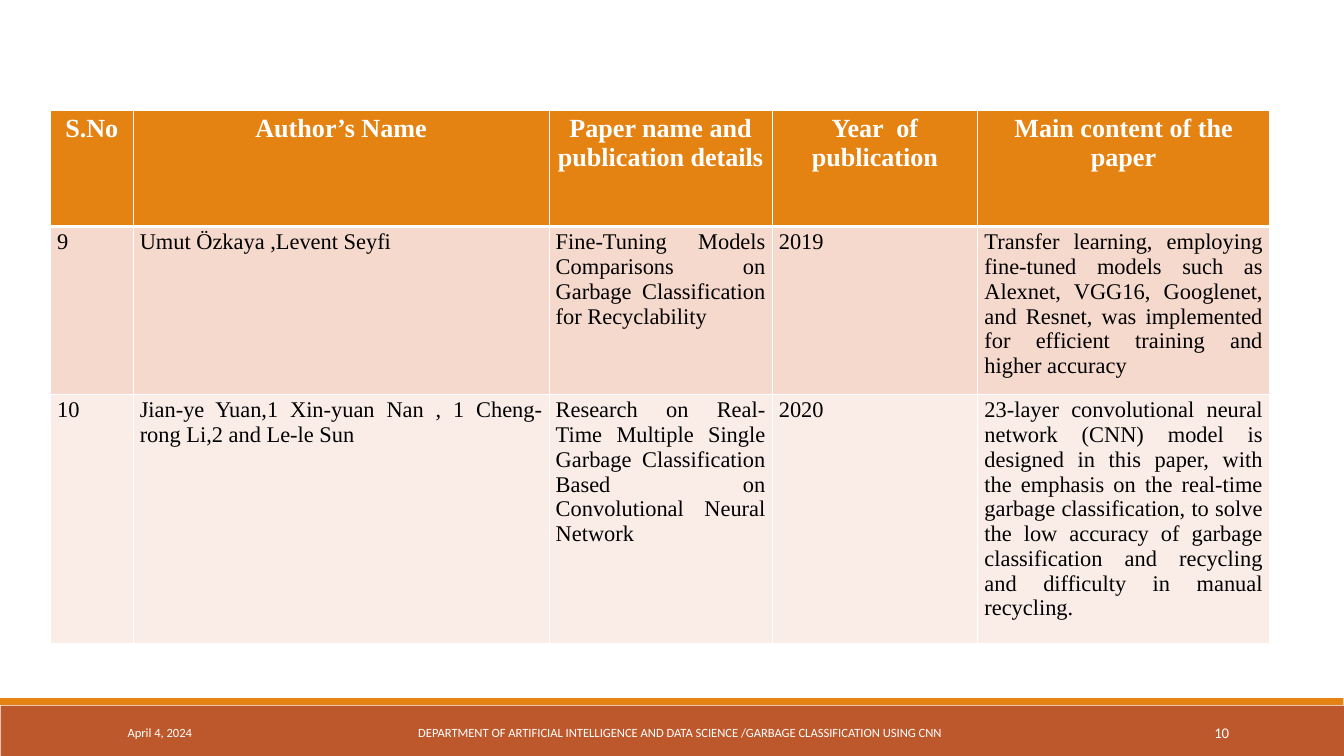
from lxml import etree
from pptx import Presentation
from pptx.dml.color import RGBColor
from pptx.enum import shapes, text
from pptx.oxml import ns
from pptx.util import Inches, Pt

WHITE = RGBColor(0xFF, 0xFF, 0xFF)
BLACK = RGBColor(0, 0, 0)
ORANGE = RGBColor(0xE4, 0x83, 0x12)
RUST = RGBColor(0xBD, 0x58, 0x2C)
ROW_TINTS = [RGBColor(0xF5, 0xD9, 0xCC), RGBColor(0xFA, 0xED, 0xE7)]

LEFT, CENTER, RIGHT, JUSTIFY = (
    text.PP_ALIGN.LEFT, text.PP_ALIGN.CENTER, text.PP_ALIGN.RIGHT, text.PP_ALIGN.JUSTIFY)

HEADINGS = ["S.No", "Author’s Name", "Paper name and publication details",
            "Year  of publication", "Main content of the paper"]
PAPERS = [
    ["9", "Umut Özkaya ,Levent Seyfi",
     "Fine-Tuning Models Comparisons on Garbage Classification for Recyclability",
     "2019",
     "Transfer learning, employing fine-tuned models such as Alexnet, VGG16, Googlenet, "
     "and Resnet, was implemented for efficient training and higher accuracy"],
    ["10", "Jian-ye Yuan,1 Xin-yuan Nan , 1 Cheng-rong Li,2 and Le-le Sun",
     "Research on Real-Time Multiple Single Garbage Classification Based on "
     "Convolutional Neural Network",
     "2020",
     "23-layer convolutional neural network (CNN) model is designed in this paper, with "
     "the emphasis on the real-time garbage classification, to solve the low accuracy of "
     "garbage classification and recycling and difficulty in manual recycling."],
]
COLUMN_WIDTHS = [1.23, 6.19, 3.32, 3.06, 4.34]
ROW_HEIGHTS = [1.72, 2.39, 3.51]
COLUMN_ALIGNS = [JUSTIFY, JUSTIFY, JUSTIFY, LEFT, JUSTIFY]

BANDS = [(0.01, 10.5, 0.75, RUST), (0, 10.39, 0.1, ORANGE)]  # left, top, height, colour
FOOTERS = [  # left, width, size, alignment, wording
    (1.8, 4.06, 13.5, LEFT, "April 4, 2024"),
    (6.05, 8.14, 13.5, CENTER,
     "DEPARTMENT OF ARTIFICIAL INTELLIGENCE AND DATA SCIENCE "
     "/GARBAGE CLASSIFICATION USING CNN"),
    (16.24, 2.15, 15.8, RIGHT, "10"),
]


def write(frame, wording, font_name, size, color, align, bold=False):
    frame.text = wording
    paragraph = frame.paragraphs[0]
    paragraph.alignment = align
    font = paragraph.runs[0].font
    font.name, font.size, font.bold = font_name, Pt(size), bold
    font.color.rgb = color


def add_borders(cell, bottom_width, top_width):
    """Give the cell white borders; must run before its fill is set."""
    properties = cell._tc.get_or_add_tcPr()
    widths = {"a:lnL": 1, "a:lnR": 1, "a:lnT": top_width, "a:lnB": bottom_width}
    for side, width in widths.items():
        line = etree.SubElement(properties, ns.qn(side), w=str(Pt(width)))
        fill = etree.SubElement(line, ns.qn("a:solidFill"))
        etree.SubElement(fill, ns.qn("a:srgbClr"), val=str(WHITE))


def add_footer(slide):
    for left, top, height, color in BANDS:
        band = slide.shapes.add_shape(
            shapes.MSO_SHAPE.RECTANGLE, Inches(left), Inches(top), Inches(19.99), Inches(height))
        band.shadow.inherit = False
        band.fill.solid()
        band.fill.fore_color.rgb = color
        band.line.fill.background()
    for left, width, size, align, wording in FOOTERS:
        frame = slide.shapes.add_textbox(
            Inches(left), Inches(10.6), Inches(width), Inches(0.6)).text_frame
        frame.word_wrap = True
        frame.vertical_anchor = text.MSO_ANCHOR.MIDDLE
        write(frame, wording, "Calibri", size, WHITE, align)


def add_papers(slide):
    rows = [HEADINGS] + PAPERS
    table = slide.shapes.add_table(
        len(rows), len(HEADINGS), Inches(0.75), Inches(1.65),
        Inches(sum(COLUMN_WIDTHS)), Inches(sum(ROW_HEIGHTS))).table
    for column, width in zip(table.columns, COLUMN_WIDTHS):
        column.width = Inches(width)
    for row, height in zip(table.rows, ROW_HEIGHTS):
        row.height = Inches(height)
    for r, wordings in enumerate(rows):
        for c, wording in enumerate(wordings):
            cell = table.cell(r, c)
            add_borders(cell, 3 if r == 0 else 1, 3 if r == 1 else 1)
            cell.fill.solid()
            if r == 0:
                cell.fill.fore_color.rgb = ORANGE
                write(cell.text_frame, wording, "Times New Roman", 28, WHITE, CENTER, True)
            else:
                cell.fill.fore_color.rgb = ROW_TINTS[r - 1]
                write(cell.text_frame, wording, "Times New Roman", 24, BLACK, COLUMN_ALIGNS[c])


def main():
    deck = Presentation()
    deck.slide_width, deck.slide_height = Inches(20), Inches(11.25)
    slide = deck.slides.add_slide(deck.slide_layouts[6])
    add_footer(slide)
    add_papers(slide)
    deck.save("out.pptx")


if __name__ == "__main__":
    main()
